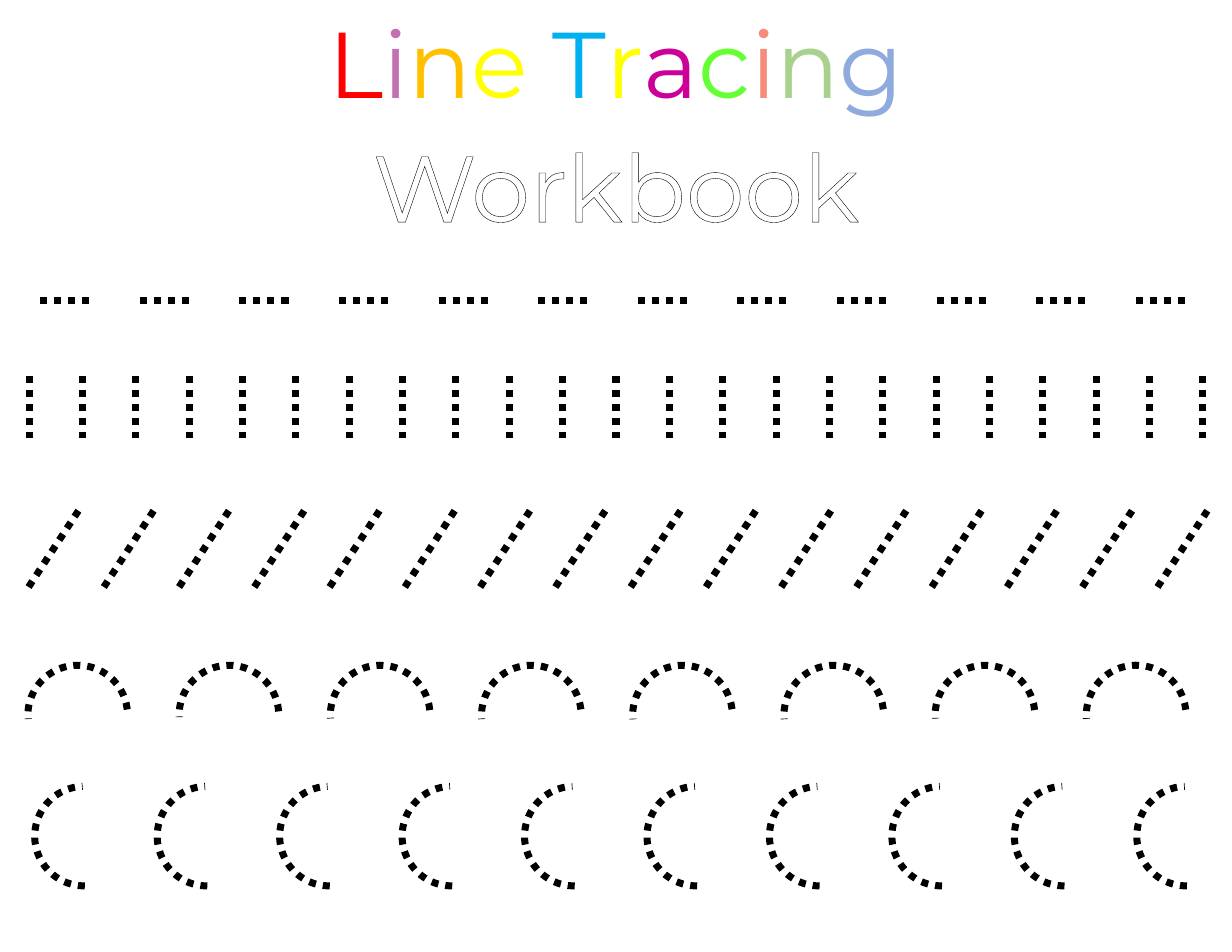
from lxml import etree
from pptx import Presentation
from pptx.dml.color import RGBColor
from pptx.enum.dml import MSO_LINE
from pptx.enum.shapes import MSO_CONNECTOR, MSO_SHAPE
from pptx.enum.text import MSO_ANCHOR, MSO_AUTO_SIZE, PP_ALIGN
from pptx.oxml.ns import qn
from pptx.util import Inches, Pt

STRAIGHT, ARC = MSO_CONNECTOR.STRAIGHT, MSO_SHAPE.ARC
DOTTED = MSO_LINE.ROUND_DOT
CENTER, TOP = PP_ALIGN.CENTER, MSO_ANCHOR.TOP
FIT_SHAPE = MSO_AUTO_SIZE.SHAPE_TO_FIT_TEXT

BLACK = RGBColor(0x00, 0x00, 0x00)
WHITE = RGBColor(0xFF, 0xFF, 0xFF)
RED = RGBColor(0xFF, 0x00, 0x00)
ORCHID = RGBColor(0xC3, 0x6F, 0xB1)
AMBER = RGBColor(0xFF, 0xC0, 0x00)
YELLOW = RGBColor(0xFF, 0xFF, 0x00)
SKY = RGBColor(0x00, 0xB0, 0xF0)
MAGENTA = RGBColor(0xCC, 0x00, 0x99)
LIME = RGBColor(0x66, 0xFF, 0x33)
CORAL = RGBColor(0xF7, 0x8C, 0x7C)
SAGE = RGBColor(0xA9, 0xD1, 0x8E)
PERIWINKLE = RGBColor(0x8F, 0xAA, 0xDC)

# Slide and heading sizes in inches
WIDTH, HEIGHT = 11, 8.5
HEADING_H = 1.11
ARC_SIZE = 0.89


def fill_heading(sp, top, letters):
    """Place a full-width heading and write its outlined, coloured letters."""
    sp.left, sp.top = 0, Inches(top)
    sp.width, sp.height = Inches(WIDTH), Inches(HEADING_H)
    tf = sp.text_frame
    tf.word_wrap = True
    tf.auto_size = FIT_SHAPE
    tf.vertical_anchor = TOP
    p = tf.paragraphs[0]
    p.alignment = CENTER
    p.font.name, p.font.size = "Montserrat", Pt(60)
    for text, color in letters:
        r = p.add_run()
        r.text = text
        r.font.name, r.font.size = "Montserrat", Pt(60)
        r.font.color.rgb = color
        ln = etree.Element(qn("a:ln"), w=str(Pt(2.25)))
        fill = etree.SubElement(ln, qn("a:solidFill"))
        etree.SubElement(fill, qn("a:srgbClr"), val=str(BLACK))
        r.font._element.insert(0, ln)


def dot_line(sp):
    """Give a stroke the dotted tracing line."""
    sp.line.color.rgb = BLACK
    sp.line.width = Pt(4.5)
    sp.line.dash_style = DOTTED


prs = Presentation()
prs.slide_width, prs.slide_height = Inches(WIDTH), Inches(HEIGHT)
s = prs.slides.add_slide(prs.slide_layouts[5])

# Headings
fill_heading(s.shapes.title, 0, [
    ("L", RED), ("i", ORCHID), ("n", AMBER), ("e ", YELLOW),
    ("T", SKY), ("r", YELLOW), ("a", MAGENTA), ("c", LIME),
    ("i", CORAL), ("n", SAGE), ("g", PERIWINKLE),
])
subtitle = s.shapes.add_textbox(0, 0, Inches(WIDTH), Inches(HEADING_H))
fill_heading(subtitle, 1.1, [("Workbook", WHITE)])

# Arc rows: first left, last left, top, mirrored, rotation of each arc
arc_rows = [
    (0.31, 10.15, 7.02, False, [223] * 10),
    (0.25, 9.7, 5.94, True, [40.2, 42.4, 40.9, 40.1, 39.9, 40, 40.8, 40.5]),
]
for first, last, top, mirrored, rotations in arc_rows:
    row = s.shapes.add_group_shape()
    pitch = (last - first) / (len(rotations) - 1)
    for i, rotation in enumerate(rotations):
        sp = row.shapes.add_shape(ARC, Inches(first + i * pitch), Inches(top),
                                  Inches(ARC_SIZE), Inches(ARC_SIZE))
        sp.adjustments[0], sp.adjustments[1] = 136, 26.85
        sp.rotation = rotation
        if mirrored:
            sp._element.spPr.xfrm.set("flipH", "1")
        sp.fill.background()
        sp.shadow.inherit = False
        dot_line(sp)

# Straight rows: count, first x, last x, start y, run, rise
line_rows = [
    (12, 0.36, 10.14, 2.68, 0.5, 0),
    (23, 0.26, 10.74, 3.36, 0, 0.55),
    (16, 0.7, 10.78, 4.56, -0.47, 0.72),
]
for count, first, last, y, dx, dy in line_rows:
    row = s.shapes.add_group_shape()
    pitch = (last - first) / (count - 1)
    for i in range(count):
        x = first + i * pitch
        sp = row.shapes.add_connector(STRAIGHT, Inches(x), Inches(y),
                                      Inches(x + dx), Inches(y + dy))
        dot_line(sp)
        etree.SubElement(sp._element.spPr, qn("a:effectLst"))

prs.save("out.pptx")
